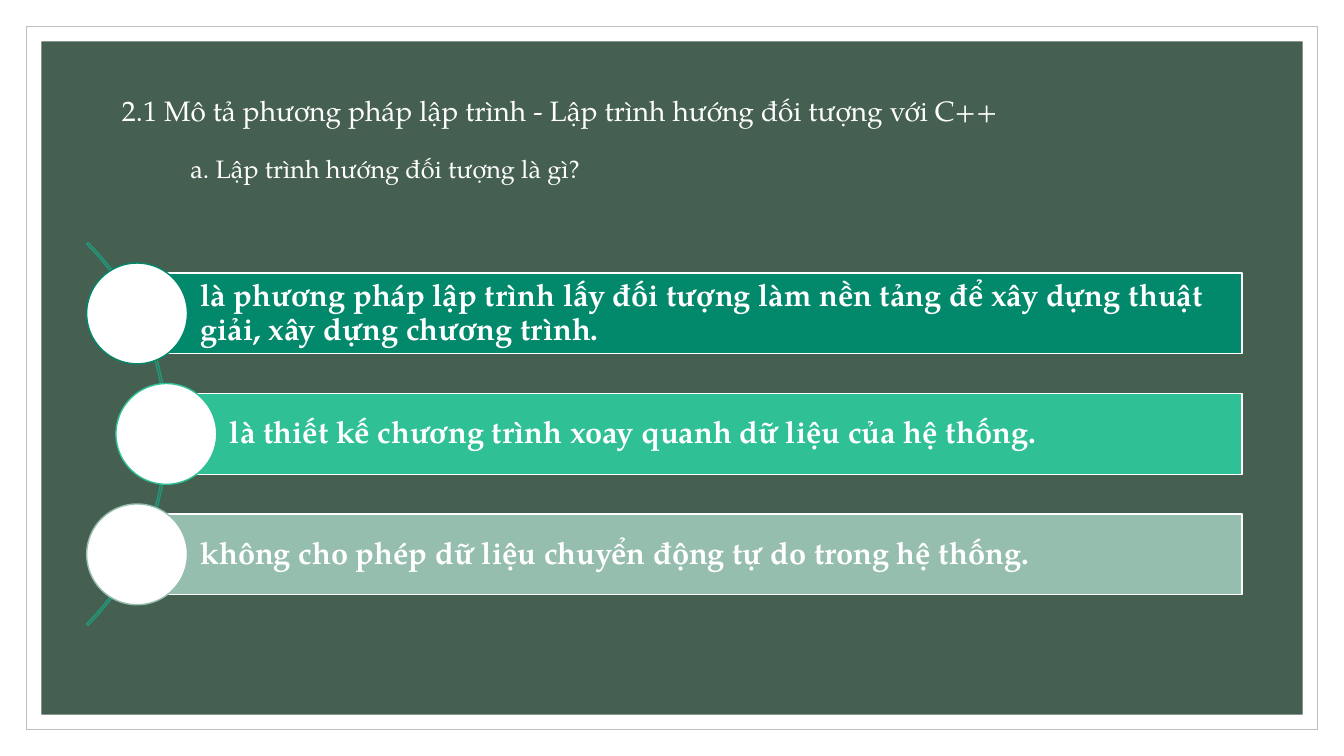
from lxml import etree
from pptx import Presentation
from pptx.dml.color import RGBColor
from pptx.enum.shapes import MSO_SHAPE
from pptx.enum.text import MSO_ANCHOR, MSO_AUTO_SIZE, PP_ALIGN
from pptx.oxml.ns import qn
from pptx.util import Inches, Pt

RECTANGLE, OVAL, ARC = MSO_SHAPE.RECTANGLE, MSO_SHAPE.OVAL, MSO_SHAPE.BLOCK_ARC
TOP, MIDDLE = MSO_ANCHOR.TOP, MSO_ANCHOR.MIDDLE
LEFT, NO_FIT = PP_ALIGN.LEFT, MSO_AUTO_SIZE.NONE

TITLE = "2.1 Mô tả phương pháp lập trình - Lập trình hướng đối tượng với C++"
SUBTITLE = "a. Lập trình hướng đối tượng là gì?"
POINTS = [
    ("là phương pháp lập trình lấy đối tượng làm nền tảng để xây dựng thuật "
     "giải, xây dựng chương trình.", "deep", 1.36),
    ("là thiết kế chương trình xoay quanh dữ liệu của hệ thống.", "bright", 1.65),
    ("không cho phép dữ liệu chuyển động tự do trong hệ thống.", "pale", 1.36),
]
COLORS = {"white": "FFFFFF", "border": "BFBFBF", "panel": "455F51", "arc": "229878",
          "deep": "02886B", "bright": "2FC095", "pale": "96BEAF"}
FONT = "TeX Gyre Pagella"
WIDTH, HEIGHT = 13.33, 7.5
FIRST_CENTER, ROW_PITCH = 3.11, 1.195
BAR_RIGHT, BAR_HEIGHT, CIRCLE = 12.32, 0.8, 1
ARC_LEFT, ARC_SIZE = -3.71, 5.37


def color(name):
    return RGBColor.from_string(COLORS[name])


def add_shape(kind, left, top, width, height, fill=None, line=None, weight=1):
    shape = slide.shapes.add_shape(
        kind, Inches(left), Inches(top), Inches(width), Inches(height))
    shape.shadow.inherit = False
    if fill:
        shape.fill.solid()
        shape.fill.fore_color.rgb = color(fill)
    else:
        shape.fill.background()
    if line:
        shape.line.color.rgb = color(line)
        shape.line.width = Pt(weight)
    else:
        shape.line.fill.background()
    return shape


def write(shape, text, size, anchor=TOP, wrap=True, bold=False, insets=(0.1, 0.05, 0.1, 0.05)):
    frame = shape.text_frame
    frame.auto_size = NO_FIT
    frame.word_wrap = wrap
    frame.vertical_anchor = anchor
    (frame.margin_left, frame.margin_top,
     frame.margin_right, frame.margin_bottom) = map(Inches, insets)
    paragraph = frame.paragraphs[0]
    paragraph.alignment = LEFT
    paragraph.line_spacing = 0.9 if bold else 1
    run = paragraph.add_run()
    run.text = text
    run.font.name = FONT
    run.font.size = Pt(size)
    run.font.bold = bold
    run.font.color.rgb = color("white")
    for tag in ("a:ea", "a:cs"):
        etree.SubElement(run.font._element, qn(tag)).set("typeface", FONT)


def place(shape, left, top, width, height):
    shape.left, shape.top = Inches(left), Inches(top)
    shape.width, shape.height = Inches(width), Inches(height)


presentation = Presentation()
presentation.slide_width, presentation.slide_height = Inches(WIDTH), Inches(HEIGHT)
slide = presentation.slides.add_slide(presentation.slide_layouts[5])

for margin, fill, line in ((0.26, "white", "border"), (0.41, "panel", None)):
    add_shape(RECTANGLE, margin, margin, WIDTH - 2 * margin, HEIGHT - 2 * margin,
              fill, line, 0.5)

title = slide.shapes.title
slide.shapes.element.append(title.element)
place(title, 1.11, 0.88, 8.91, 0.44)
write(title, TITLE, 20, wrap=False)

subtitle = slide.shapes.add_textbox(Inches(1.79), Inches(1.47), Inches(4.17), Inches(0.4))
write(subtitle, SUBTITLE, 18)

middle = FIRST_CENTER + ROW_PITCH * (len(POINTS) - 1) / 2
arc = add_shape(ARC, ARC_LEFT, middle - ARC_SIZE / 2, ARC_SIZE, ARC_SIZE, line="arc")
for index, value in enumerate((189, 27, 0.004)):
    arc.adjustments[index] = value

for row, (text, fill, left) in enumerate(POINTS):
    center = FIRST_CENTER + row * ROW_PITCH
    bar = add_shape(RECTANGLE, left, center - BAR_HEIGHT / 2, BAR_RIGHT - left, BAR_HEIGHT,
                    fill, "white")
    write(bar, text, 22, MIDDLE, bold=True, insets=(0.63, 0.06, 0.06, 0.06))
    add_shape(OVAL, left - CIRCLE / 2, center - CIRCLE / 2, CIRCLE, CIRCLE, "white", fill)

presentation.save("out.pptx")
